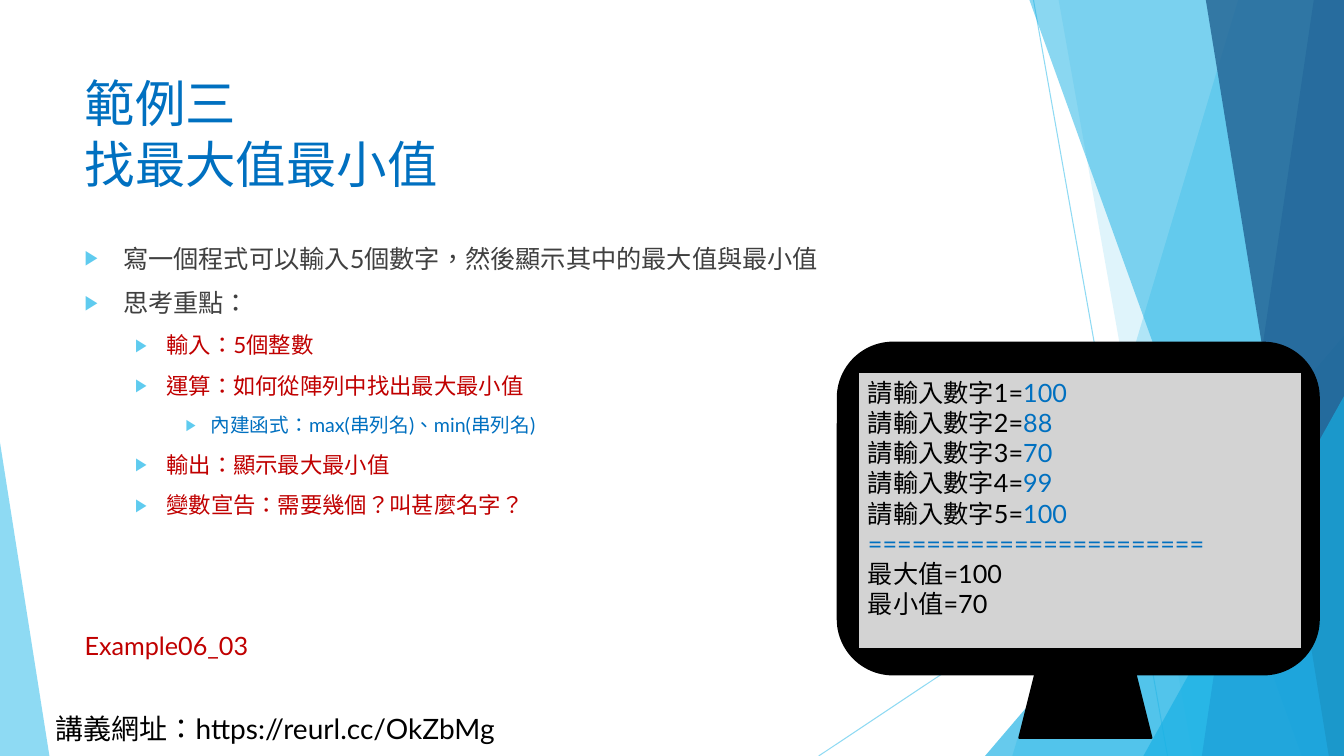
from lxml import etree
from pptx import Presentation
from pptx.dml.color import RGBColor
from pptx.enum.lang import MSO_LANGUAGE_ID
from pptx.enum.shapes import MSO_CONNECTOR, MSO_SHAPE
from pptx.enum.text import MSO_ANCHOR, MSO_AUTO_SIZE, PP_ALIGN
from pptx.oxml.ns import qn
from pptx.util import Inches, Pt

STRAIGHT = MSO_CONNECTOR.STRAIGHT
TRIANGLE, TRAPEZOID = MSO_SHAPE.ISOSCELES_TRIANGLE, MSO_SHAPE.TRAPEZOID
RECTANGLE, ROUNDED = MSO_SHAPE.RECTANGLE, MSO_SHAPE.ROUNDED_RECTANGLE
TOP, LEFT = MSO_ANCHOR.TOP, PP_ALIGN.LEFT
NO_AUTOFIT = MSO_AUTO_SIZE.NONE
CHINESE = MSO_LANGUAGE_ID.TRADITIONAL_CHINESE

# Content
FONT = "Lato"
BLACK, BLUE, RED, GRAY, SKY = "000000", "0070C0", "C00000", "404040", "5FCBEF"
WIDTH, HEIGHT = 13.33, 7.5
TITLE = "範例三\v找最大值最小值"
POINTS = [
    (0, "寫一個程式可以輸入5個數字，然後顯示其中的最大值與最小值"),
    (0, "思考重點："),
    (1, "輸入：5個整數"),
    (1, "運算：如何從陣列中找出最大最小值"),
    (2, "內建函式：max(串列名)、min(串列名)"),
    (1, "輸出：顯示最大最小值"),
    (1, "變數宣告：需要幾個？叫甚麼名字？"),
]
LEVELS = [  # size, colour, left margin, hanging indent
    (18, GRAY, 0.38, 0.38),
    (16, RED, 0.81, 0.31),
    (14, BLUE, 1.25, 0.25),
]
INPUTS = [100, 88, 70, 99, 100]
SCREEN_LINES = [[(f"請輸入數字{number}=", BLACK), (str(value), BLUE)]
                for number, value in enumerate(INPUTS, 1)]
SCREEN_LINES += [
    [("=" * 23, BLUE)],
    [(f"最大值={max(INPUTS)}", BLACK)],
    [(f"最小值={min(INPUTS)}", BLACK)],
]
LABELS = [  # text, place, size, colour
    ("講義網址：https://reurl.cc/OkZbMg", (0.45, 7.01, 4.76, 0.44), 20, BLACK),
    ("Example06_03", (0.74, 6.2, 1.83, 0.4), 18, RED),
]
RAYS = [((10.25, 0), (11.58, HEIGHT)), ((WIDTH, 4.03), (8.12, HEIGHT))]
# Bands reach the right edge: top left x, bottom left x, colour, opacity
# Triangles: left, top, width, apex position, colour, opacity
FACETS = [
    ("band", (12.28, 10.04), SKY, 36),
    ("band", (10.5, 11.83), SKY, 20),
    ("triangle", (9.77, 3.33, 3.56, 1), "17B0E4", 66),
    ("band", (10.21, 12.91), "17B0E4", 50),
    ("band", (13.03, 11.92), "2E83C3", 70),
    ("band", (11.96, 13.18), "226292", 80),
    ("triangle", (11.34, 3.93, 1.99, 1), "17B0E4", 66),
    ("triangle", (0, 4.39, 0.49, 0), SKY, 70),
]


def color(value):
    return RGBColor.from_string(value)


def inches(values):
    return [Inches(value) for value in values]


def set_opacity(shape, percent):
    solid = next(shape.element.spPr.iter(qn("a:srgbClr")))
    etree.SubElement(solid, qn("a:alpha"), val=str(percent * 1000))


def style(font, size, value):
    font.name, font.size, font.language_id = FONT, Pt(size), CHINESE
    font.color.rgb = color(value)


def style_runs(paragraph, size, value):
    for span in paragraph.runs:
        style(span.font, size, value)


def add_bullet(paragraph, margin, hanging):
    properties = paragraph._p.get_or_add_pPr()
    properties.set("marL", str(Inches(margin)))
    properties.set("indent", str(-Inches(hanging)))
    tint = etree.SubElement(properties, qn("a:buClr"))
    etree.SubElement(tint, qn("a:srgbClr"), val=SKY)
    etree.SubElement(properties, qn("a:buSzPct"), val="80000")
    etree.SubElement(properties, qn("a:buFont"), typeface="Arial")
    etree.SubElement(properties, qn("a:buChar"), char="▶")


def place(holder, left, top, width, height):
    holder.left, holder.top, holder.width, holder.height = inches((left, top, width, height))
    frame = holder.text_frame
    frame.auto_size, frame.vertical_anchor = NO_AUTOFIT, TOP
    return frame


def add_part(page, kind, box, fill):
    part = page.shapes.add_shape(kind, *inches(box))
    part.shadow.inherit = False
    part.fill.solid()
    part.fill.fore_color.rgb = color(fill)
    part.line.color.rgb = color(BLACK)
    part.line.width = Pt(1.5)
    return part


def add_backdrop(page):
    for start, end in RAYS:
        ray = page.shapes.add_connector(STRAIGHT, *inches(start + end))
        ray.line.color.rgb = color(SKY)
        ray.line.width = Pt(0.75)
        set_opacity(ray, 70)
        etree.SubElement(ray.element.spPr, qn("a:effectLst"))
    for kind, geometry, fill, opacity in FACETS:
        if kind == "band":
            top_x, bottom_x = geometry
            corners = [(WIDTH, 0), (WIDTH, HEIGHT), (bottom_x, HEIGHT)]
            builder = page.shapes.build_freeform(Inches(top_x), 0)
            builder.add_line_segments([inches(corner) for corner in corners])
            facet = builder.convert_to_shape()
            facet.shadow.inherit = False
            facet.fill.solid()
            facet.fill.fore_color.rgb = color(fill)
        else:
            left, top, width, apex = geometry
            facet = add_part(page, TRIANGLE, (left, top, width, HEIGHT - top), fill)
            facet.adjustments[0] = apex
        facet.line.fill.background()
        set_opacity(facet, opacity)


def add_text(page):
    title, body = page.placeholders
    for holder in (title, body):  # bring in front of the backdrop
        holder.element.getparent().append(holder.element)
    frame = place(title, 0.74, 0.67, 9.4, 1.44)
    frame.text = TITLE
    frame.paragraphs[0].alignment = LEFT
    style_runs(frame.paragraphs[0], 36, BLUE)

    frame = place(body, 0.74, 2.36, 9.4, 4.24)
    frame.text = "\n".join(text for _, text in POINTS)
    for index, (level, _) in enumerate(POINTS):
        paragraph = frame.paragraphs[index]
        size, value, margin, hanging = LEVELS[level]
        paragraph.level = level
        add_bullet(paragraph, margin, hanging)
        paragraph.space_before = Pt(10 if index else 0)
        style_runs(paragraph, size, value)

    for text, box, size, value in LABELS:
        label = page.shapes.add_textbox(*inches(box))
        label.text_frame.text = text
        style_runs(label.text_frame.paragraphs[0], size, value)


def add_monitor(page):
    add_part(page, ROUNDED, (8.31, 3.4, 4.77, 3.29), BLACK)
    screen = add_part(page, RECTANGLE, (8.51, 3.69, 4.4, 2.75), "D3D3D3")
    add_part(page, TRAPEZOID, (10.11, 6.69, 1.31, 0.63), BLACK)
    frame = screen.text_frame
    frame.vertical_anchor = TOP
    for index, spans in enumerate(SCREEN_LINES):
        paragraph = frame.add_paragraph() if index else frame.paragraphs[0]
        paragraph.alignment = LEFT
        for text, value in spans:
            span = paragraph.add_run()
            span.text = text
            style(span.font, 18, value)


def main():
    deck = Presentation()
    deck.slide_width, deck.slide_height = Inches(WIDTH), Inches(HEIGHT)
    page = deck.slides.add_slide(deck.slide_layouts[1])
    add_backdrop(page)
    add_text(page)
    add_monitor(page)
    deck.save("out.pptx")


if __name__ == "__main__":
    main()
